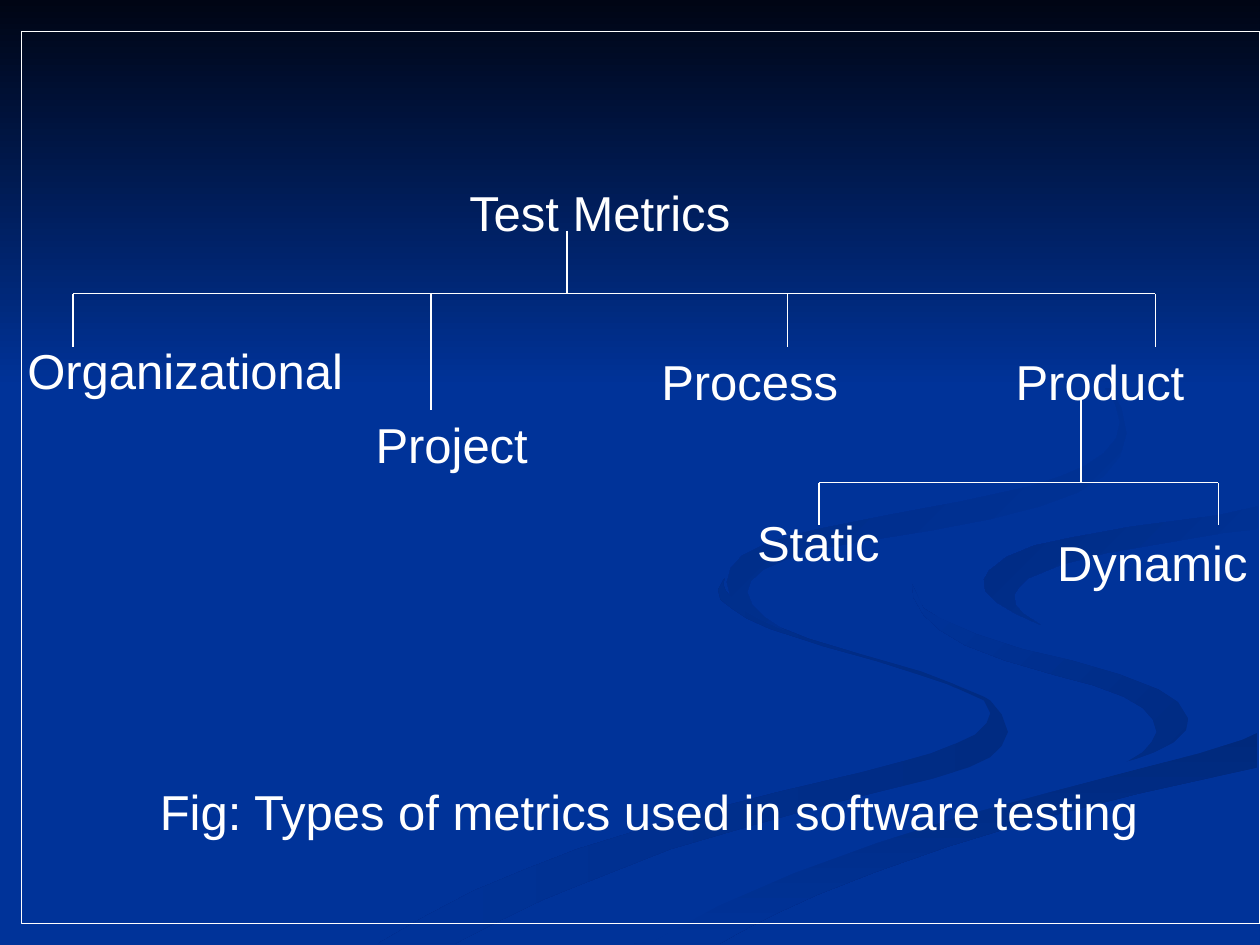
from dataclasses import dataclass

from lxml import etree
from pptx import Presentation
from pptx.dml.color import RGBColor
from pptx.enum.shapes import MSO_CONNECTOR, MSO_SHAPE
from pptx.enum.text import MSO_ANCHOR, MSO_AUTO_SIZE, PP_ALIGN
from pptx.oxml.ns import qn
from pptx.util import Inches, Pt

LINE = MSO_CONNECTOR.STRAIGHT
RECT = MSO_SHAPE.RECTANGLE
TOP = MSO_ANCHOR.TOP
FIXED = MSO_AUTO_SIZE.NONE
CENTER = PP_ALIGN.CENTER


@dataclass(frozen=True)
class Theme:
    ink: RGBColor = RGBColor(0xFF, 0xFF, 0xFF)
    base: RGBColor = RGBColor(0x00, 0x33, 0x99)
    night: RGBColor = RGBColor(0x00, 0x05, 0x14)
    shade: RGBColor = RGBColor(0x00, 0x2B, 0x82)
    deep: RGBColor = RGBColor(0x00, 0x29, 0x7C)
    font: str = "Arial"
    size: Pt = Pt(28)
    rule: Pt = Pt(0.75)


THEME = Theme()
LABEL_H = 0.57

# Ribbon outlines: x, y pairs in hundredths of an inch
WAVE = [
    781, 553, 757, 543, 731, 533, 682, 519, 642, 507, 614, 496, 594, 485,
    583, 477, 576, 469, 574, 464, 575, 459, 570, 468, 572, 476, 581, 483,
    593, 491, 611, 499, 654, 513, 697, 525, 728, 535, 752, 543, 770, 551,
    781, 556, 786, 566, 783, 574, 774, 583, 759, 590, 739, 598, 714, 605,
    684, 613, 616, 629, 539, 649, 458, 674, 417, 690, 376, 707, 338, 727,
    300, 749, 361, 749, 396, 731, 431, 714, 466, 700, 532, 674, 594, 656,
    651, 640, 699, 628, 740, 618, 769, 609, 786, 601, 795, 592, 800, 581,
    795, 567, 786, 556]
CURL = [
    943, 570, 935, 557, 919, 547, 888, 535, 850, 524, 811, 515, 774, 503,
    745, 490, 733, 483, 724, 464, 725, 474, 733, 488, 746, 500, 766, 512,
    797, 524, 838, 536, 868, 544, 892, 553, 907, 562, 915, 571, 918, 581,
    914, 589, 907, 597, 894, 605, 916, 597, 932, 589, 941, 581]
ROAD = [
    519, 747, 503, 749, 571, 749, 587, 740, 614, 726, 649, 710, 695, 692,
    752, 672, 821, 651, 903, 630, 998, 609, 998, 581, 976, 590, 936, 602,
    867, 620, 797, 638, 764, 647, 696, 669, 630, 693, 569, 719, 543, 733]
PATH = [
    725, 464, 731, 479, 745, 490, 775, 503, 812, 515, 851, 524, 889, 535,
    920, 547, 935, 557, 943, 570, 942, 579, 931, 590, 911, 600, 881, 608,
    843, 618, 780, 634, 704, 655, 619, 684, 573, 703, 526, 724, 477, 749,
    503, 749, 519, 747, 570, 719, 630, 693, 696, 669, 765, 647, 832, 629,
    904, 610, 951, 598, 986, 587, 999, 581, 999, 538, 959, 531, 904, 519,
    848, 503, 817, 492, 794, 480, 784, 469, 781, 463, 786, 453, 800, 442,
    822, 434, 865, 424, 933, 415, 968, 409, 999, 402, 999, 387, 962, 395,
    920, 401, 851, 411, 788, 422, 755, 432, 732, 446]
HOOK = [
    781, 460, 782, 469, 791, 478, 806, 487, 826, 496, 812, 487, 806, 480,
    805, 472, 809, 466, 816, 459, 843, 448, 878, 439, 936, 429, 971, 423,
    998, 420, 998, 402, 967, 409, 898, 418, 849, 427, 821, 433, 799, 442,
    785, 453]
BEND = [
    683, 430, 739, 421, 786, 412, 825, 402, 855, 391, 876, 378, 889, 362,
    894, 344, 890, 324, 880, 307, 864, 291, 843, 275, 810, 256, 780, 241,
    762, 233, 805, 254, 846, 279, 862, 292, 876, 306, 885, 320, 889, 335,
    886, 348, 876, 360, 861, 370, 842, 378, 818, 386, 763, 398, 704, 409,
    649, 420, 625, 426, 605, 433, 589, 441, 580, 451, 577, 462, 580, 474,
    590, 484, 604, 492, 622, 500, 607, 490, 597, 480, 593, 470, 596, 461,
    606, 452, 624, 444, 649, 436]


def paint(shape, first, last, angle):
    """Fill with two colours, angle counted clockwise."""
    shape.shadow.inherit = False
    shape.line.fill.background()
    shape.fill.gradient()
    shape.fill.gradient_angle = (360 - angle) % 360
    for stop, hue in zip(shape.fill.gradient_stops, (first, last)):
        stop.color.rgb = hue


def ribbon(slide, coords, *look):
    points = list(zip(coords[::2], coords[1::2]))
    pen = slide.shapes.build_freeform(*points[0], scale=Inches(0.01))
    pen.add_line_segments(points[1:], close=True)
    paint(pen.convert_to_shape(), *look)


def backdrop(slide, width, height):
    """Blue ground, ribbons and the dark band along the top."""
    fill = slide.background.fill
    fill.solid()
    fill.fore_color.rgb = THEME.base
    base, shade = THEME.base, THEME.shade
    for coords, *look in (
            (WAVE, shade, base, 180), (CURL, shade, base, 225),
            (ROAD, THEME.deep, base, 90), (PATH, base, base, 0),
            (HOOK, base, shade, 225), (BEND, base, shade, 225)):
        ribbon(slide, coords, *look)
    band = slide.shapes.add_shape(RECT, 0, 0, Inches(width), Inches(height))
    paint(band, THEME.night, base, 90)


def label(box, text, left, top, width):
    """Place and format one line of centred text."""
    place = dict(left=left, top=top, width=width, height=LABEL_H)
    for name, value in place.items():
        setattr(box, name, Inches(value))
    frame = box.text_frame
    frame.text = text
    setup = dict(word_wrap=False, auto_size=FIXED, vertical_anchor=TOP)
    for name, value in setup.items():
        setattr(frame, name, value)
    line = frame.paragraphs[0]
    line.alignment = CENTER
    for name, value in dict(name=THEME.font, size=THEME.size).items():
        setattr(line.font, name, value)
    line.font.color.rgb = THEME.ink


def rule(slide, *ends):
    line = slide.shapes.add_connector(LINE, *map(Inches, ends))
    line.line.color.rgb = THEME.ink
    line.line.width = THEME.rule
    etree.SubElement(line.element.spPr, qn("a:effectLst"))


def fork(slide, left, top, width, stem, bar, drops):
    """A stem down to a bar, with drops (x, length) hanging from it."""
    level = top + bar
    rule(slide, left + stem, top, left + stem, level)
    rule(slide, left, level, left + width, level)
    for x, length in drops:
        rule(slide, left + x, level, left + x, level + length)


def tree(slide, left, top):
    """The metrics tree, measured from its top left corner."""
    title = slide.shapes.title
    label(title, "Test Metrics", left + 3.48, top, 2.32)
    title.element.getparent().append(title.element)  # above the band
    fork(slide, left + 0.46, top + 0.43, 8.59, 3.92, 0.5,
         [(0, 0.42), (2.84, 0.92), (5.67, 0.42), (8.59, 0.42)])
    fork(slide, left + 6.38, top + 1.77, 3.17, 2.08, 0.66,
         [(0, 0.34), (3.17, 0.34)])
    for text, x, y, width in (
            ("Organizational", 0, 1.25, 2.7), ("Project", 2.55, 1.84, 1.83),
            ("Process", 5.03, 1.34, 1.6), ("Product", 7.84, 1.34, 1.54),
            ("Static", 5.79, 2.62, 1.17), ("Dynamic", 8.17, 2.78, 1.71)):
        label(slide.shapes.add_textbox(0, 0, 0, 0), text,
              left + x, top + y, width)


def border(slide, *box):
    edge = slide.shapes.add_shape(RECT, *map(Inches, box))
    edge.shadow.inherit = False
    edge.fill.background()
    edge.line.color.rgb = THEME.ink
    edge.line.width = THEME.rule


def main():
    deck = Presentation()
    deck.slide_width, deck.slide_height = Inches(10), Inches(7.5)
    slide = deck.slides.add_slide(deck.slide_layouts[5])
    backdrop(slide, 10, 3.08)
    tree(slide, 0.12, 1.4)
    # Caption
    label(slide.shapes.add_textbox(0, 0, 0, 0),
          "Fig: Types of metrics used in software testing", 1.15, 6.15, 8)
    border(slide, 0.17, 0.25, 9.83, 7.08)
    deck.save("out.pptx")


if __name__ == "__main__":
    main()
